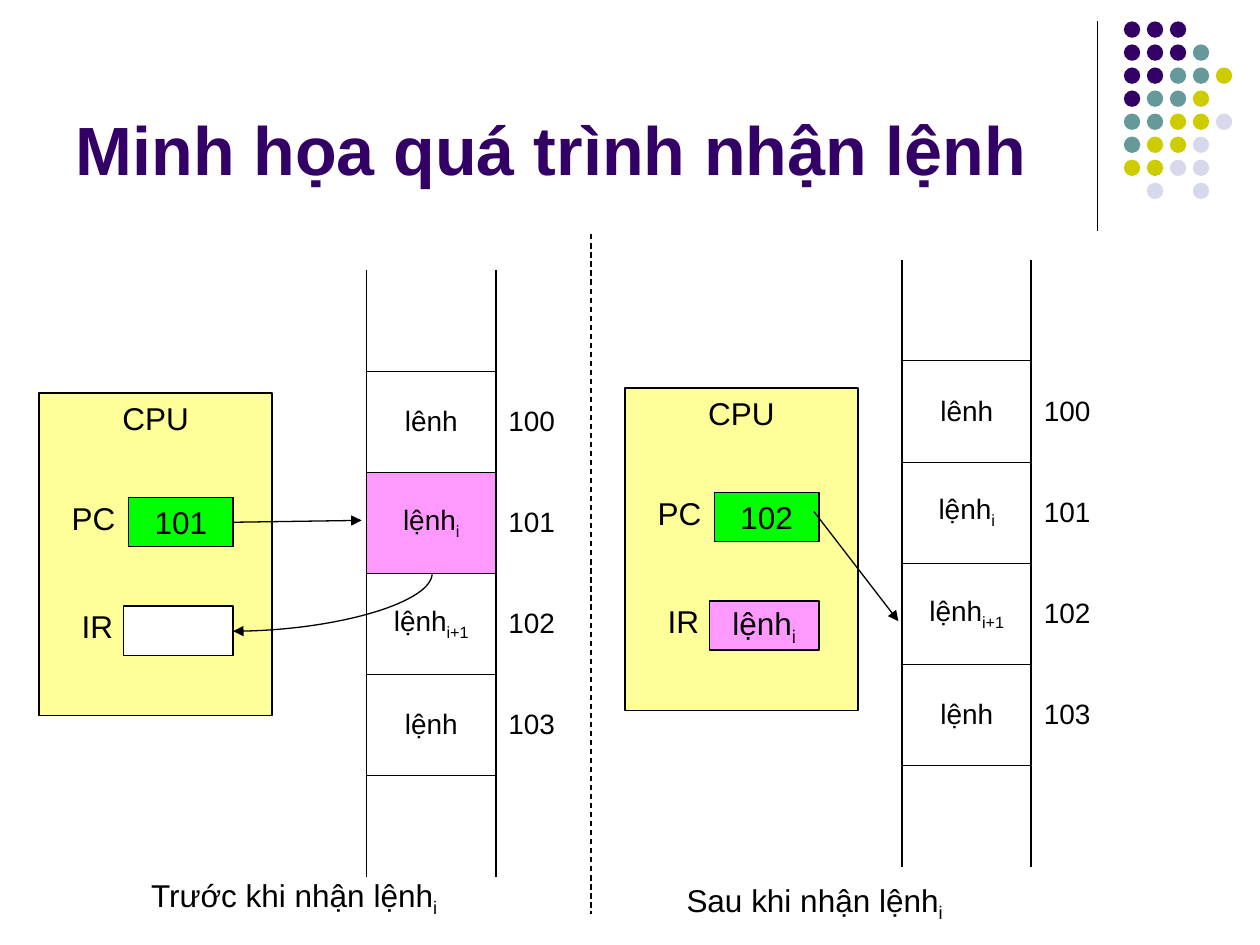
from lxml import etree
from pptx import Presentation
from pptx import util as u
from pptx.dml.color import RGBColor
from pptx.enum import dml, shapes, text
from pptx.oxml import parse_xml
from pptx.oxml.ns import nsdecls, qn

COLORS = {
    "black": "000000", "white": "FFFFFF", "purple": "330066",
    "teal": "669999", "olive": "CCCC00", "lavender": "D8D8EC",
    "yellow": "FFFF99", "green": "00FF00", "pink": "FF99FF",
}
DOT_COLORS = {"P": "purple", "T": "teal", "O": "olive", "L": "lavender"}
DOT_ROWS = ["PPP", "PPPT", "PPTTO", "PTTO", "TTOOL", "TOOL", "OOLL", " L L"]
MEMORY = [("", ""), ("lênh", "100"), ("lệnh_i", "101"),
          ("lệnh_i+1", "102"), ("lệnh", "103"), ("", "")]
NO_STYLE = "{2D5ABB26-0587-4C30-8999-92F81FD0307C}"


def rgb(name):
    return RGBColor.from_string(COLORS[name])


class Deck:
    font = "Arial"
    line_width = 0.75

    def __init__(self):
        self.prs = Presentation()
        self.prs.slide_width = u.Inches(10)
        self.prs.slide_height = u.Inches(7.5)
        self.s = self.prs.slides.add_slide(self.prs.slide_layouts[5])

    def set_text(self, tf, words, size=18, color="black", bold=False, align="LEFT", before=0):
        base, _, sub = words.partition("_")
        p = tf.paragraphs[0]
        p.text = base
        p.alignment = getattr(text.PP_ALIGN, align)
        p.space_before = u.Pt(before)
        if sub:
            r = p.add_run()
            r.text = sub
            r._r.get_or_add_rPr().set("baseline", "-25000")
        for r in p.runs:
            r.font.name = self.font
            r.font.size = u.Pt(size)
            r.font.bold = bold
            r.font.color.rgb = rgb(color)

    def title(self, words, x, y, w, h):
        sp = self.s.shapes.title
        sp.left, sp.top, sp.width, sp.height = map(u.Inches, (x, y, w, h))
        tf = sp.text_frame
        tf.vertical_anchor = text.MSO_ANCHOR.BOTTOM
        self.set_text(tf, words, 39, "purple", True)

    def dots(self, x, y):
        group = self.s.shapes.add_group_shape()
        for row, letters in enumerate(DOT_ROWS):
            for col, letter in enumerate(letters):
                if letter == " ":
                    continue
                sp = group.shapes.add_shape(
                    shapes.MSO_SHAPE.OVAL,
                    u.Inches(x + 0.73 / 4 * col), u.Inches(y + 1.28 / 7 * row),
                    u.Inches(0.13), u.Inches(0.13))
                sp.shadow.inherit = False
                sp.fill.solid()
                sp.fill.fore_color.rgb = rgb(DOT_COLORS[letter])
                sp.line.fill.background()

    def box(self, words, x, y, w, h, fill, anchor="MIDDLE"):
        sp = self.s.shapes.add_shape(shapes.MSO_SHAPE.RECTANGLE, *map(u.Inches, (x, y, w, h)))
        sp.shadow.inherit = False
        sp.fill.solid()
        sp.fill.fore_color.rgb = rgb(fill)
        sp.line.color.rgb = rgb("black")
        sp.line.width = u.Pt(self.line_width)
        if words:
            tf = sp.text_frame
            tf.word_wrap = False
            tf.vertical_anchor = getattr(text.MSO_ANCHOR, anchor)
            self.set_text(tf, words, align="CENTER")
        return sp

    def label(self, words, x, y, w, h):
        tf = self.s.shapes.add_textbox(*map(u.Inches, (x, y, w, h))).text_frame
        tf.word_wrap = True
        tf.auto_size = text.MSO_AUTO_SIZE.SHAPE_TO_FIT_TEXT
        self.set_text(tf, words, before=11.2)

    def line(self, x1, y1, x2, y2, arrow=False, dashed=False):
        cn = self.s.shapes.add_connector(
            shapes.MSO_CONNECTOR.STRAIGHT, *map(u.Inches, (x1, y1, x2, y2)))
        cn.line.color.rgb = rgb("black")
        cn.line.width = u.Pt(self.line_width)
        if dashed:
            cn.line.dash_style = dml.MSO_LINE.DASH
        if arrow:
            ln = cn._element.spPr.find(qn("a:ln"))
            etree.SubElement(ln, qn("a:tailEnd"), type="triangle")
        etree.SubElement(cn._element.spPr, qn("a:effectLst"))
        return cn

    def quarter_curve(self, x1, y1, x2, y2):
        mid_x, mid_y = (x1 + x2) / 2, (y1 + y2) / 2
        w, h = y2 - y1, x1 - x2
        cn = self.line(mid_x - w / 2, mid_y - h / 2, mid_x + w / 2, mid_y + h / 2, arrow=True)
        spPr = cn._element.spPr
        spPr.find(qn("a:xfrm")).set("rot", "5400000")
        spPr.find(qn("a:prstGeom")).set("prst", "curvedConnector2")

    def border(self, cell, side, width):
        cell._tc.get_or_add_tcPr().append(parse_xml(
            f'<a:ln{side} {nsdecls("a")} w="{u.Pt(width)}"><a:solidFill>'
            f'<a:srgbClr val="{COLORS["black"]}"/></a:solidFill></a:ln{side}>'))

    def memory(self, x, y, current=None):
        last = len(MEMORY) - 1
        frame = self.s.shapes.add_table(
            len(MEMORY), 2, *map(u.Inches, (x, y, 2.05, 4.82)))
        table = frame.table
        table.first_row = table.horz_banding = False
        table._tbl.tblPr.find(qn("a:tableStyleId")).text = NO_STYLE
        for row, words in enumerate(MEMORY):
            table.rows[row].height = u.Inches(4.82 / len(MEMORY))
            for col, align in enumerate(("CENTER", "LEFT")):
                cell = table.cell(row, col)
                self.border(cell, "L", 1.08)
                if col == 0:
                    self.border(cell, "R", 1.08)
                    if row > 0:
                        self.border(cell, "T", 0.45)
                    if row < last:
                        self.border(cell, "B", 0.45)
                cell.fill.background()
                cell.vertical_anchor = text.MSO_ANCHOR.MIDDLE
                if words[col]:
                    self.set_text(cell.text_frame, words[col], 16, align=align, before=4)
        if current is not None:
            cell = table.cell(current, 0)
            cell.fill.solid()
            cell.fill.fore_color.rgb = rgb("pink")

    def cpu(self, x, y, pc, ir, ir_fill):
        self.box("CPU", x, y, 1.85, 2.56, "yellow", "TOP")
        pc_box = self.box(pc, x + 0.71, y + 0.83, 0.83, 0.39, "green")
        self.box(ir, x + 0.67, y + 1.69, 0.87, 0.39, ir_fill)
        self.label("PC", x + 0.16, y + 0.79, 0.55, 0.4)
        self.label("IR", x + 0.24, y + 1.65, 0.55, 0.4)
        return pc_box


def main():
    d = Deck()
    d.title("Minh họa quá trình nhận lệnh", 0.5, 0.13, 8.25, 1.42)
    d.line(8.71, 0.17, 8.71, 1.83)
    d.dots(8.92, 0.17)
    d.line(4.69, 1.86, 4.69, 7.25, dashed=True)

    d.memory(2.91, 2.14, current=2)
    pc_box = d.cpu(0.31, 3.12, "101", "", "white")
    d.line(1.85, 4.13, 2.87, 4.13, arrow=True).begin_connect(pc_box, 3)
    d.quarter_curve(3.43, 4.55, 1.85, 5.01)
    d.label("Trước khi nhận lệnh_i", 1.1, 6.9, 2.88, 0.44)

    d.memory(7.16, 2.06)
    d.cpu(4.96, 3.08, "102", "lệnh_i", "pink")
    d.line(6.46, 4.06, 7.13, 4.93, arrow=True)
    d.label("Sau khi nhận lệnh_i", 5.35, 6.94, 3.51, 0.44)
    d.prs.save("out.pptx")


if __name__ == "__main__":
    main()
